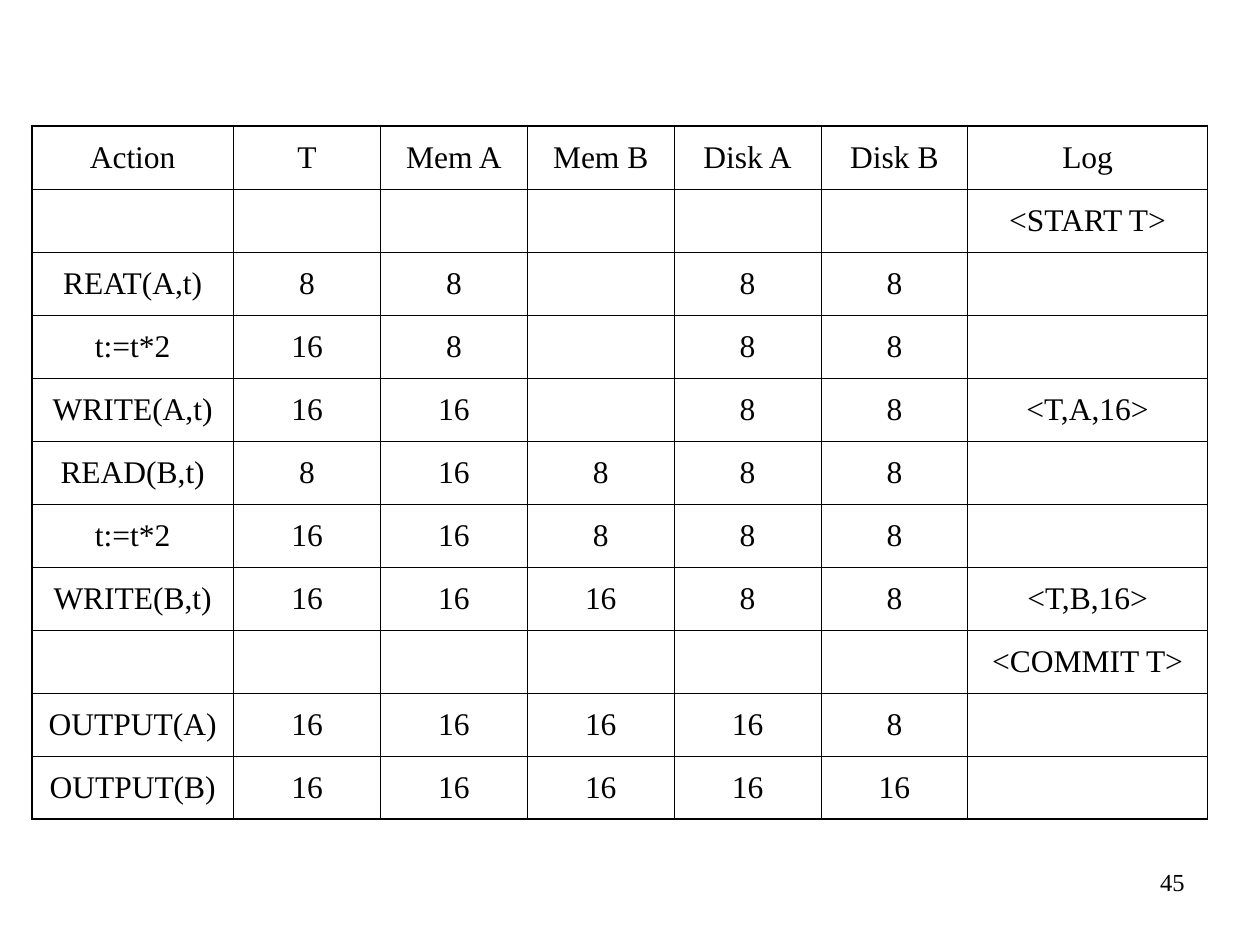
from dataclasses import dataclass

from lxml import etree
from pptx import Presentation
from pptx.dml.color import RGBColor
from pptx.enum.text import MSO_ANCHOR, PP_ALIGN
from pptx.oxml.ns import qn
from pptx.util import Cm, Pt

CENTER, RIGHT = PP_ALIGN.CENTER, PP_ALIGN.RIGHT
MIDDLE = MSO_ANCHOR.MIDDLE
BLANK_LAYOUT = 6


@dataclass(frozen=True)
class Theme:
    font: str = "Times New Roman"
    ink: str = "000000"
    cell_size: float = 18
    number_size: float = 14
    outer_line: float = 1.08
    inner_line: float = 0.45


THEME = Theme()

COLUMN_WIDTHS = [4.07] + [2.96] * 5 + [4.83]
ROW_HEIGHT = 1.27

LOG_STEPS = [
    ["Action", "T", "Mem A", "Mem B", "Disk A", "Disk B", "Log"],
    ["", "", "", "", "", "", "<START T>"],
    ["REAT(A,t)", "8", "8", "", "8", "8", ""],
    ["t:=t*2", "16", "8", "", "8", "8", ""],
    ["WRITE(A,t)", "16", "16", "", "8", "8", "<T,A,16>"],
    ["READ(B,t)", "8", "16", "8", "8", "8", ""],
    ["t:=t*2", "16", "16", "8", "8", "8", ""],
    ["WRITE(B,t)", "16", "16", "16", "8", "8", "<T,B,16>"],
    ["", "", "", "", "", "", "<COMMIT T>"],
    ["OUTPUT(A)", "16", "16", "16", "16", "8", ""],
    ["OUTPUT(B)", "16", "16", "16", "16", "16", ""],
]


def write_text(text_frame, text, size, alignment):
    """Put one formatted paragraph into a text frame."""
    text_frame.text = text
    paragraph = text_frame.paragraphs[0]
    paragraph.alignment = alignment
    for run in paragraph.runs:
        run.font.name = THEME.font
        run.font.size = Pt(size)
        run.font.color.rgb = RGBColor.from_string(THEME.ink)


def set_borders(cell, outer_sides):
    """Draw all four cell borders, heavier on the table's outer sides."""
    properties = cell._tc.get_or_add_tcPr()
    for side, is_outer in outer_sides.items():
        width = THEME.outer_line if is_outer else THEME.inner_line
        line = etree.SubElement(properties, qn(f"a:ln{side}"), w=str(Pt(width)))
        fill = etree.SubElement(line, qn("a:solidFill"))
        etree.SubElement(fill, qn("a:srgbClr"), val=THEME.ink)


def add_log_table(slide, left, top, steps):
    """Add the transaction steps as a ruled table without fills."""
    last_row, last_column = len(steps) - 1, len(COLUMN_WIDTHS) - 1
    table = slide.shapes.add_table(
        len(steps), len(COLUMN_WIDTHS), Cm(left), Cm(top),
        Cm(sum(COLUMN_WIDTHS)), Cm(ROW_HEIGHT * len(steps))).table
    table.first_row = table.horz_banding = False
    for column, width in zip(table.columns, COLUMN_WIDTHS):
        column.width = Cm(width)

    for r, step in enumerate(steps):
        table.rows[r].height = Cm(ROW_HEIGHT)
        for c, value in enumerate(step):
            cell = table.cell(r, c)
            cell.vertical_anchor = MIDDLE
            write_text(cell.text_frame, value, THEME.cell_size, CENTER)
            set_borders(cell, {"L": c == 0, "R": c == last_column,
                               "T": r == 0, "B": r == last_row})
            cell.fill.background()


def add_page_number(slide, number):
    """Add the page number at the bottom right."""
    box = slide.shapes.add_textbox(Cm(18.85), Cm(17.35), Cm(5.28), Cm(1.27))
    box.text_frame.word_wrap = True
    write_text(box.text_frame, number, THEME.number_size, RIGHT)


def main():
    presentation = Presentation()
    presentation.slide_width, presentation.slide_height = Cm(25.4), Cm(19.05)
    slide = presentation.slides.add_slide(presentation.slide_layouts[BLANK_LAYOUT])

    # Transaction log
    add_log_table(slide, 0.64, 2.54, LOG_STEPS)

    # Footer
    add_page_number(slide, "45")

    presentation.save("out.pptx")


if __name__ == "__main__":
    main()
